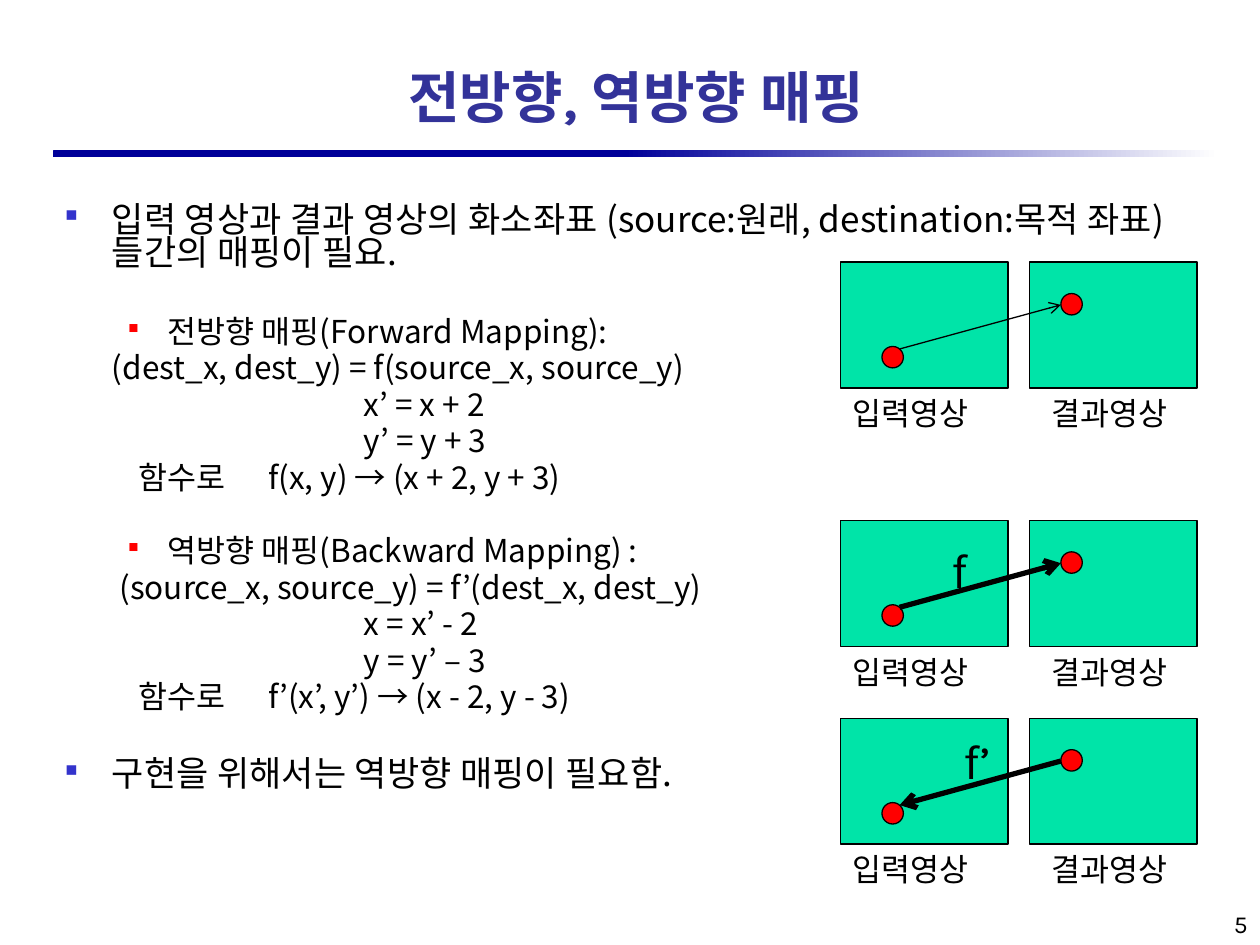
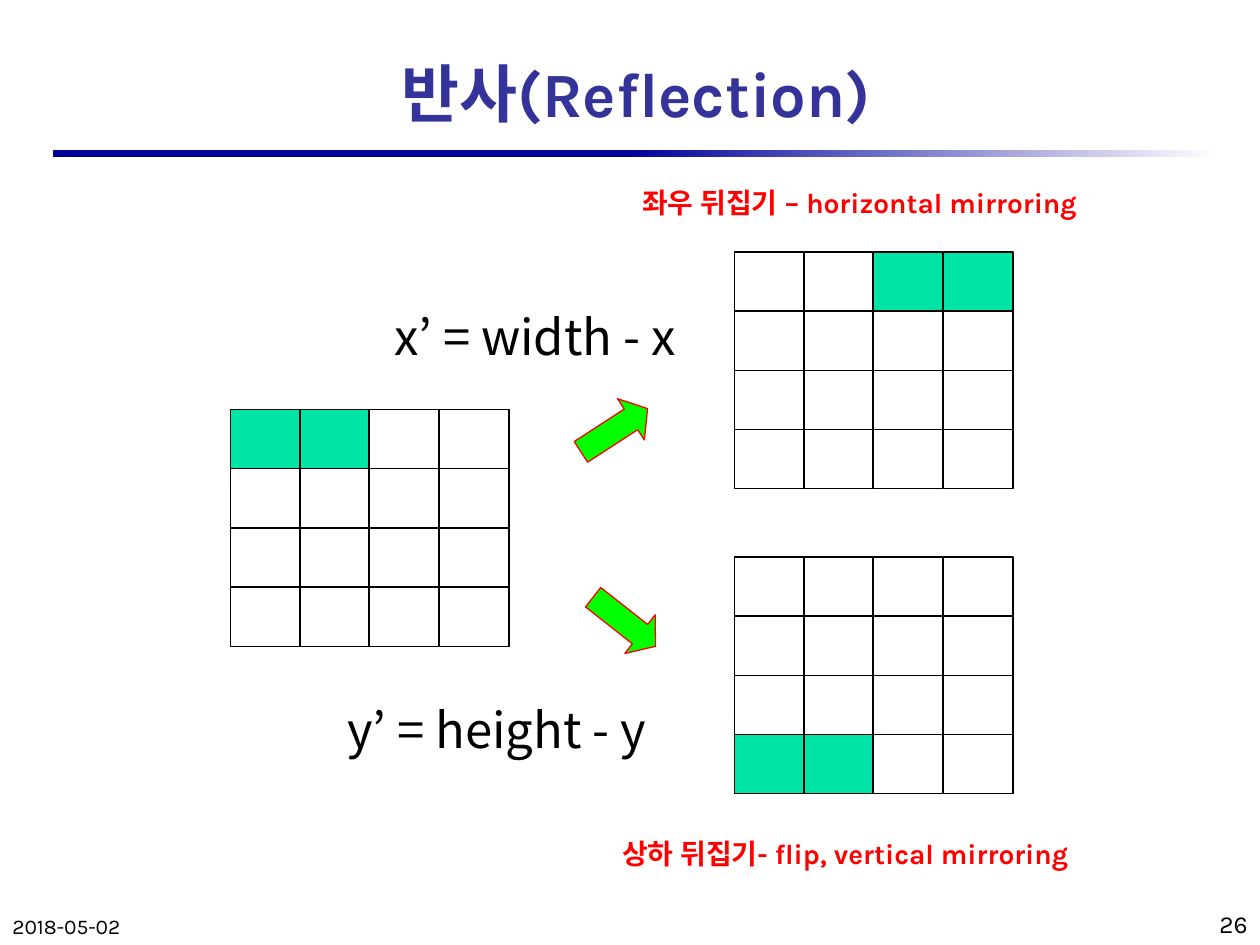
import pptx
import pptx.util
import pptx.dml.color
import pptx.enum.shapes
import pptx.enum.text
import pptx.oxml.ns
from lxml import etree

PX = 9144  # 100 px to the inch
KOREAN = "Noto Sans CJK KR"
LATIN = "Karla"
BLACK, WHITE, RED = "000000", "FFFFFF", "FF0000"
NAVY, TITLE_BLUE, BULLET_BLUE = "000099", "333399", "3333CC"
MINT, LIME = "00E4A8", "00FF00"

color = pptx.dml.color.RGBColor.from_string
qn = pptx.oxml.ns.qn
SHAPE = pptx.enum.shapes.MSO_SHAPE
ALIGN = pptx.enum.text.PP_ALIGN
ANCHOR = pptx.enum.text.MSO_ANCHOR


def write(slide, box, lines, size, face=LATIN, ink=BLACK, bold=False,
          align=ALIGN.LEFT, anchor=ANCHOR.TOP):
    """Add a text box at box (px) and return its paragraphs."""
    frame = slide.shapes.add_textbox(*(n * PX for n in box)).text_frame
    frame.word_wrap = True
    frame.vertical_anchor = anchor
    for number, line in enumerate(lines):
        paragraph = frame.add_paragraph() if number else frame.paragraphs[0]
        paragraph.text = line
        paragraph.alignment = align
        font = paragraph.font
        font.size, font.bold, font.name = pptx.util.Pt(size), bold, face
        font.color.rgb = color(ink)
        defaults = paragraph._p.pPr.find(qn("a:defRPr"))
        etree.SubElement(defaults, qn("a:ea"), typeface=LATIN)
    return frame.paragraphs


def draw(slide, kind, box, fill, outline=BLACK):
    """Add a filled preset shape at box (px) with a thin outline."""
    shape = slide.shapes.add_shape(kind, *(n * PX for n in box))
    shape.shadow.inherit = False
    shape.fill.solid()
    shape.fill.fore_color.rgb = color(fill)
    shape.line.color.rgb = color(outline)
    shape.line.width = pptx.util.Pt(0.75)
    return shape


deck = pptx.Presentation()
deck.slide_width, deck.slide_height = 1000 * PX, 750 * PX

# Shared title, rule and page number
slides = []
for title, title_size, page in [("전방향, 역방향 매핑", 32, "5"),
                                ("반사(Reflection)", 36, "26")]:
    slide = deck.slides.add_slide(deck.slide_layouts[6])
    rule = draw(slide, SHAPE.ROUNDED_RECTANGLE, (42, 119, 925, 6), NAVY)
    rule.line.fill.background()
    rule.fill.gradient()
    rule.fill.gradient_angle = 0
    for stop, position, shade in zip(rule.fill.gradient_stops, (0.49, 1), (NAVY, WHITE)):
        stop.position = position
        stop.color.rgb = color(shade)
    write(slide, (83, 25, 844, 83), [title], title_size, ink=TITLE_BLUE, bold=True,
          align=ALIGN.CENTER, anchor=ANCHOR.BOTTOM)
    write(slide, (792, 717, 208, 33), [page], 14, align=ALIGN.RIGHT, anchor=ANCHOR.BOTTOM)
    slides.append(slide)
mapping, reflection = slides

# Mapping text: kind -> left margin px, first-line indent px, bullet colour, bullet %
LAYOUTS = {
    "point": (37, -37, BULLET_BLUE, 47),
    "heading": (81, -31, RED, 44),
    "formula": (37, 0, None, None),
    "inverse": (43, 0, None, None),
    "equation": (237, 0, None, None),
    "function": (161, -103, None, None),
}
outline = [  # kind, text, size, space before in pt
    ("point", "입력 영상과 결과 영상의 화소좌표 (source:원래, destination:목적 좌표)들간의 매핑이 필요.", 20, 4),
    ("heading", "전방향 매핑(Forward Mapping):", 18, 26.5),
    ("formula", "(dest_x, dest_y) = f(source_x, source_y)", 18, 3.6),
    ("equation", "x’ = x + 2", 18, 3.6),
    ("equation", "y’ = y + 3", 18, 3.6),
    ("function", "함수로\tf(x, y) → (x + 2, y + 3)", 18, 3.6),
    ("heading", "역방향 매핑(Backward Mapping) :", 18, 24.5),
    ("inverse", "(source_x, source_y) = f’(dest_x, dest_y)", 18, 3.6),
    ("equation", "x = x’ - 2", 18, 3.6),
    ("equation", "y = y’ – 3", 18, 3.6),
    ("function", "함수로\tf’(x’, y’) → (x - 2, y - 3)", 18, 3.6),
    ("point", "구현을 위해서는 역방향 매핑이 필요함.", 20, 25.8),
]
paragraphs = write(mapping, (42, 158, 925, 559), [row[1] for row in outline], 18, KOREAN)
for paragraph, (kind, text, size, before) in zip(paragraphs, outline):
    margin, indent, bullet_color, bullet_size = LAYOUTS[kind]
    paragraph.font.size = pptx.util.Pt(size)
    paragraph.line_spacing = 0.8
    paragraph.space_before = pptx.util.Pt(before)
    properties = paragraph._p.pPr
    properties.set("marL", str(margin * PX))
    properties.set("indent", str(indent * PX))
    if bullet_color:
        tint = etree.Element(qn("a:buClr"))
        etree.SubElement(tint, qn("a:srgbClr"), val=bullet_color)
        scale = etree.Element(qn("a:buSzPct"), val=str(bullet_size * 1000))
        mark = etree.Element(qn("a:buChar"), char="■")
        for part in (tint, scale, mark):
            properties.find(qn("a:defRPr")).addprevious(part)

# Mapping figures: input and result frames joined by an arrow
for top, weight, backward in [(208, 0.75, False), (413, 3, False), (570, 3, True)]:
    for left in (667, 817):
        draw(mapping, SHAPE.RECTANGLE, (left, top, 133, 100), MINT)
    for left, drop in [(700, 67), (842, 25)]:
        draw(mapping, SHAPE.OVAL, (left, top + drop, 17, 17), RED)
    for left, caption in [(667, "입력영상"), (825, "결과영상")]:
        write(mapping, (left, top + 100, 125, 40), [caption], 18)
    ends = [(714, top + 69), (842, top + 34)]
    start, finish = reversed(ends) if backward else ends
    arrow = mapping.shapes.add_connector(pptx.enum.shapes.MSO_CONNECTOR.STRAIGHT,
                                         *(n * PX for n in start + finish))
    arrow.line.color.rgb = color(BLACK)
    arrow.line.width = pptx.util.Pt(weight)
    stroke = arrow._element.spPr.find(qn("a:ln"))
    etree.SubElement(stroke, qn("a:tailEnd"), type="arrow")
    etree.SubElement(arrow._element.spPr, qn("a:effectLst"))
write(mapping, (745, 423, 33, 57), ["f"], 28)
write(mapping, (755, 575, 42, 57), ["f’"], 28)

# Reflection grids: left, top and the filled (row, column) cells
for grid_left, grid_top, filled in [(183, 325, {(0, 0), (0, 1)}),
                                    (583, 200, {(0, 2), (0, 3)}),
                                    (583, 442, {(3, 0), (3, 1)})]:
    for row in range(4):
        for column in range(4):
            cell = (grid_left + column * 166 // 3, grid_top + row * 47, 55, 47)
            draw(reflection, SHAPE.RECTANGLE, cell, MINT if (row, column) in filled else WHITE)

# Arrows from the source grid to each mirrored grid
for left, top, turn in [(456, 322, 327), (464, 474, 38.2)]:
    pointer = draw(reflection, SHAPE.RIGHT_ARROW, (left, top, 63, 39), LIME, RED)
    pointer.adjustments[0], pointer.adjustments[1] = 0.5, 0.4
    pointer.rotation = turn

# Formulas, captions and date
write(reflection, (303, 238, 263, 57), ["x’ = width - x"], 28, KOREAN)
write(reflection, (266, 550, 280, 57), ["y’ = height - y"], 28, KOREAN)
write(reflection, (484, 659, 402, 37), ["상하 뒤집기- flip, vertical mirroring"], 16,
      ink=RED, bold=True)
horizontal = write(reflection, (500, 142, 390, 37), ["좌우 뒤집기 "], 16, ink=RED, bold=True)[0]
dash = horizontal.add_run()
dash.text = "–"
dash.font.name = "Times New Roman"
horizontal.add_run().text = " horizontal mirroring"
write(reflection, (0, 717, 208, 33), ["2018-05-02"], 12, anchor=ANCHOR.BOTTOM)

deck.save("out.pptx")
